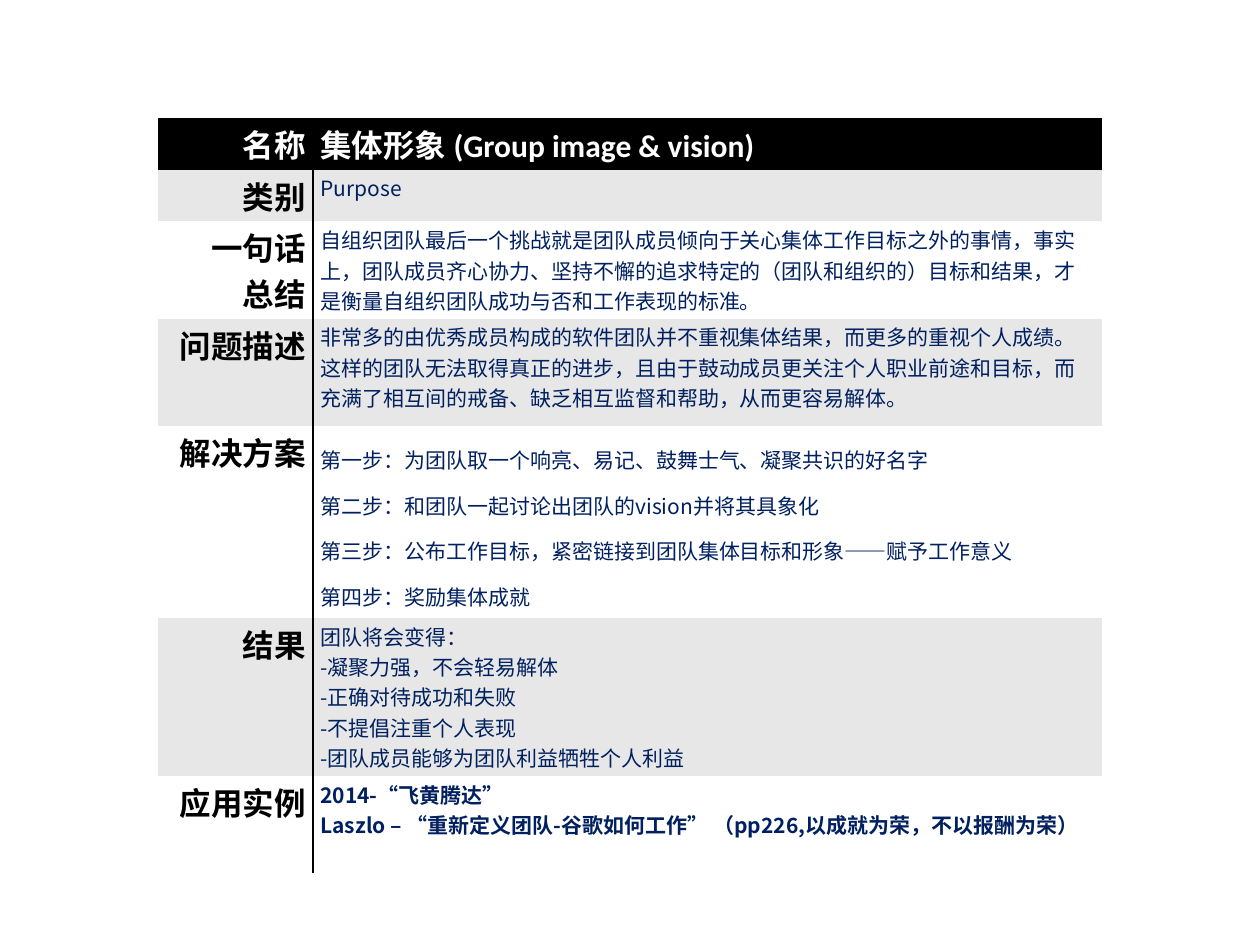
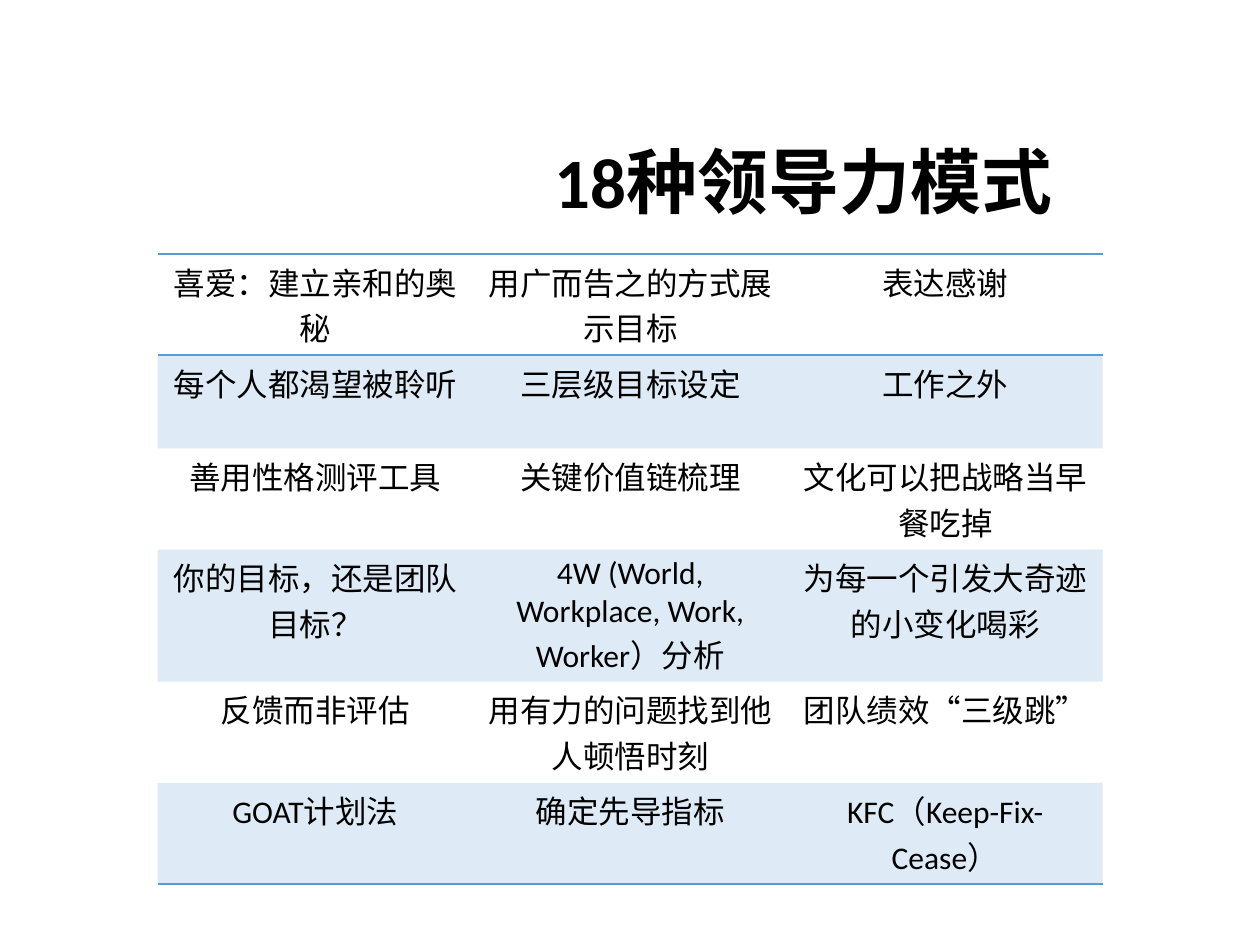
from lxml import etree
from pptx import Presentation
from pptx.dml.color import RGBColor
from pptx.enum import text as t
from pptx.oxml import ns
from pptx.util import Cm, Pt

# Content
PATTERN_CARD = [
    {"label": ["名称"], "body": ["集体形象 (Group image & vision)"], "height": 1.04},
    {"label": ["类别"], "body": ["Purpose"], "height": 0.97},
    {"label": ["一句话", "总结"], "height": 1.75, "body": [
        "自组织团队最后一个挑战就是团队成员倾向于关心集体工作目标之外的事情，"
        "事实上，团队成员齐心协力、坚持不懈的追求特定的（团队和组织的）目标和结果，"
        "才是衡量自组织团队成功与否和工作表现的标准。"]},
    {"label": ["问题描述"], "height": 2.16, "body": [
        "非常多的由优秀成员构成的软件团队并不重视集体结果，而更多的重视个人成绩。"
        "这样的团队无法取得真正的进步，且由于鼓动成员更关注个人职业前途和目标，"
        "而充满了相互间的戒备、缺乏相互监督和帮助，从而更容易解体。"]},
    {"label": ["解决方案"], "height": 3.87, "format": {"spacing": 1.5}, "body": [
        "第一步：为团队取一个响亮、易记、鼓舞士气、凝聚共识的好名字",
        "第二步：和团队一起讨论出团队的vision并将其具象化",
        "第三步：公布工作目标，紧密链接到团队集体目标和形象——赋予工作意义",
        "第四步：奖励集体成就"]},
    {"label": ["结果"], "height": 2.79, "format": {"bullets_from": 1}, "body": [
        "团队将会变得：",
        "凝聚力强，不会轻易解体",
        "正确对待成功和失败",
        "不提倡注重个人表现",
        "团队成员能够为团队利益牺牲个人利益"]},
    {"label": ["应用实例"], "height": 1.7, "format": {"bold": True}, "body": [
        "2014-“飞黄腾达”",
        "Laszlo – “重新定义团队-谷歌如何工作” （pp226,以成就为荣，不以报酬为荣）"]},
]
CARD_WIDTHS = [3.13, 15.9]
MODES_TITLE = "18种领导力模式"
MODES = [
    ("喜爱：建立亲和的奥秘", "用广而告之的方式展示目标", "表达感谢"),
    ("每个人都渴望被聆听", "三层级目标设定", "工作之外"),
    ("善用性格测评工具", "关键价值链梳理", "文化可以把战略当早餐吃掉"),
    ("你的目标，还是团队目标？", "4W (World, Workplace, Work, Worker）分析",
     "为每一个引发大奇迹的小变化喝彩"),
    ("反馈而非评估", "用有力的问题找到他人顿悟时刻", "团队绩效“三级跳”"),
    ("GOAT计划法", "确定先导指标", "KFC（Keep-Fix-Cease）"),
]
MODE_HEIGHTS = [2.04, 1.88, 2.04, 2.66, 2.04, 2.04]
MODE_WIDTH = 6.35

# Shared style
COLORS = {"black": "000000", "white": "FFFFFF", "gray": "E7E7E7",
          "navy": "002060", "blue": "5B9BD5"}
LATIN, CHINESE = "Calibri", "Noto Sans CJK SC"
TABLE_LEFT = 3.18
NO_STYLE = "{2D5ABB26-0587-4C30-8999-92F81FD0307C}"
RIGHT, CENTER = t.PP_ALIGN.RIGHT, t.PP_ALIGN.CENTER


def add_xml(parent, tag, **attributes):
    return etree.SubElement(parent, ns.qn(tag), **attributes)


def write(frame, lines, size=18, font=CHINESE, color="black", bold=False,
          align=None, spacing=None, bullets_from=None):
    for index, line in enumerate(lines):
        para = frame.paragraphs[0] if index == 0 else frame.add_paragraph()
        para.alignment = align
        para.line_spacing = spacing
        if bullets_from is not None and index >= bullets_from:
            props = para._p.get_or_add_pPr()
            props.set("marL", "0")
            props.set("indent", str(-Cm(0.79)))
            add_xml(props, "a:buFont", typeface=CHINESE)
            add_xml(props, "a:buChar", char="-")
        span = para.add_run()
        span.text = line
        span.font.size = Pt(size)
        span.font.bold = bold
        span.font.color.rgb = RGBColor.from_string(COLORS[color])
        span.font.name = font
        add_xml(span._r.get_or_add_rPr(), "a:ea", typeface=CHINESE)


def set_insets(target, side, top):
    target.margin_left = target.margin_right = Cm(side)
    target.margin_top = target.margin_bottom = Cm(top)


def add_grid(page, top, widths, heights):
    frame = page.shapes.add_table(len(heights), len(widths), Cm(TABLE_LEFT), Cm(top),
                                  Cm(sum(widths)), Cm(sum(heights)))
    table = frame.table
    table.first_row = table.horz_banding = False
    table._tbl.tblPr.find(ns.qn("a:tableStyleId")).text = NO_STYLE
    for column, width in zip(table.columns, widths):
        column.width = Cm(width)
    for row, height in zip(table.rows, heights):
        row.height = Cm(height)
    return table


def style_cell(cell, fill=None, alpha=None, edges="", edge_color="black"):
    """Edges are given as letters in the order L, R, T, B."""
    props = cell._tc.get_or_add_tcPr()
    for edge in edges:
        line = add_xml(props, "a:ln" + edge, w=str(Pt(1)))
        add_xml(add_xml(line, "a:solidFill"), "a:srgbClr", val=COLORS[edge_color])
    if fill is None:
        cell.fill.background()
        return
    cell.fill.solid()
    cell.fill.fore_color.rgb = RGBColor.from_string(COLORS[fill])
    if alpha is not None:
        shade = props.find(ns.qn("a:solidFill")).find(ns.qn("a:srgbClr"))
        add_xml(shade, "a:alpha", val=str(alpha * 1000))


def build_pattern_card(page):
    table = add_grid(page, 2.38, CARD_WIDTHS, [row["height"] for row in PATTERN_CARD])
    for index, row in enumerate(PATTERN_CARD):
        label, body = table.cell(index, 0), table.cell(index, 1)
        header = index == 0
        fill = "black" if header else ("white", "gray")[index % 2]
        for cell, edge in ((label, "R"), (body, "L")):
            set_insets(cell, 0.15, 0.06)
            style_cell(cell, fill, edges=edge)
        write(label.text_frame, row["label"], bold=True, align=RIGHT,
              color="white" if header else "black")
        if header:
            write(body.text_frame, row["body"], font=LATIN, color="white", bold=True)
        else:
            write(body.text_frame, row["body"], size=12, color="navy",
                  **row.get("format", {}))


def build_modes(page):
    # Title
    box = page.shapes.add_textbox(Cm(10.99), Cm(2.36), Cm(10.9), Cm(2.77))
    frame = box.text_frame
    frame.word_wrap = True
    frame.vertical_anchor = t.MSO_ANCHOR.MIDDLE
    set_insets(frame, 0.19, 0.1)
    write(frame, [MODES_TITLE], size=40.5, font=LATIN, bold=True, spacing=0.9)

    # Banded grid with rules round the first row and below the last
    table = add_grid(page, 5.12, [MODE_WIDTH] * len(MODES[0]), MODE_HEIGHTS)
    rules = {0: "TB", len(MODES) - 1: "B"}
    for r, names in enumerate(MODES):
        for c, name in enumerate(names):
            cell = table.cell(r, c)
            set_insets(cell, 0.18, 0.09)
            style_cell(cell, "blue" if r % 2 else None, alpha=20,
                       edges=rules.get(r, ""), edge_color="blue")
            write(cell.text_frame, [name], font=LATIN, align=CENTER)


def main():
    deck = Presentation()
    deck.slide_width, deck.slide_height = Cm(25.4), Cm(19.05)
    for build in (build_pattern_card, build_modes):
        build(deck.slides.add_slide(deck.slide_layouts[6]))
    deck.save("out.pptx")


if __name__ == "__main__":
    main()
